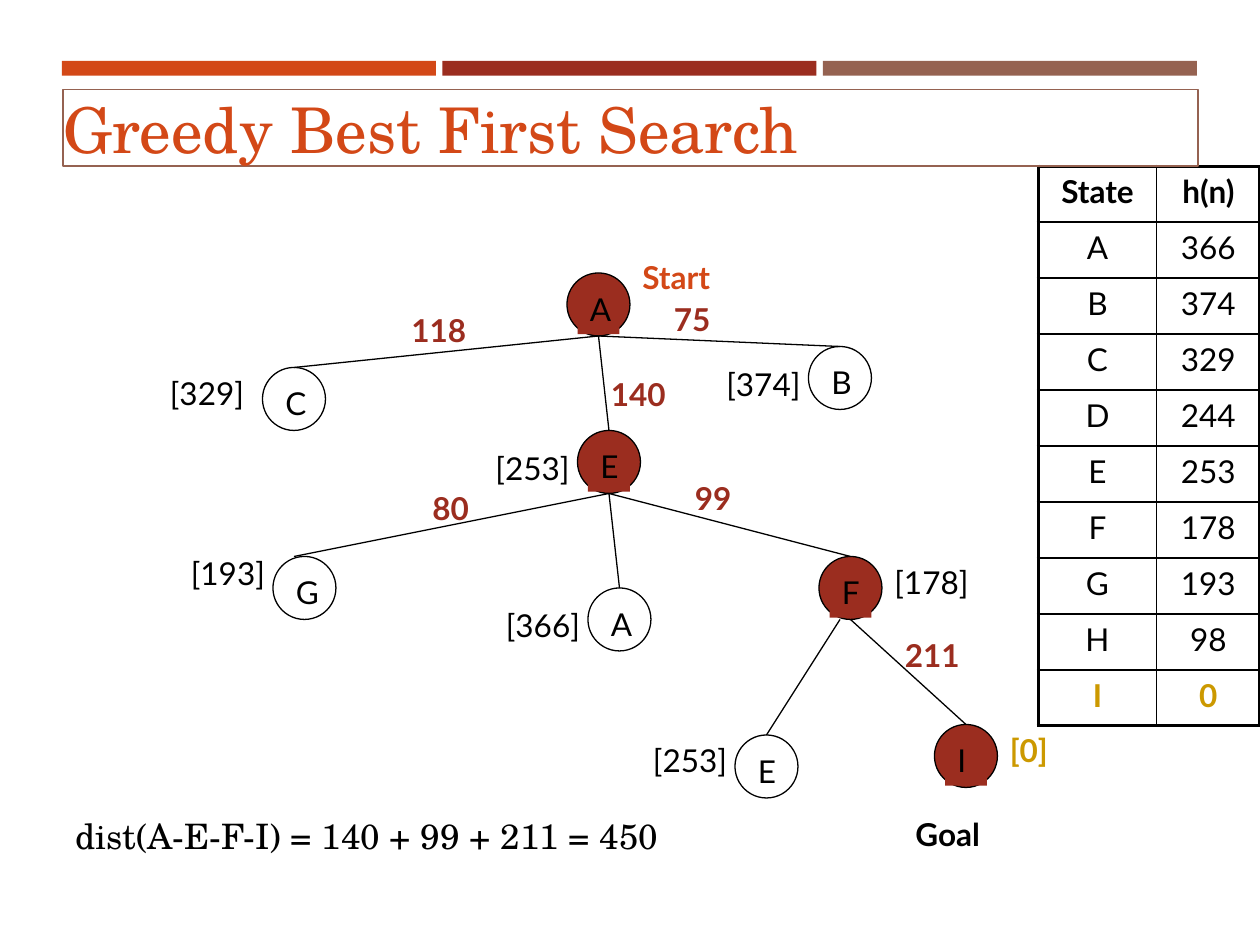
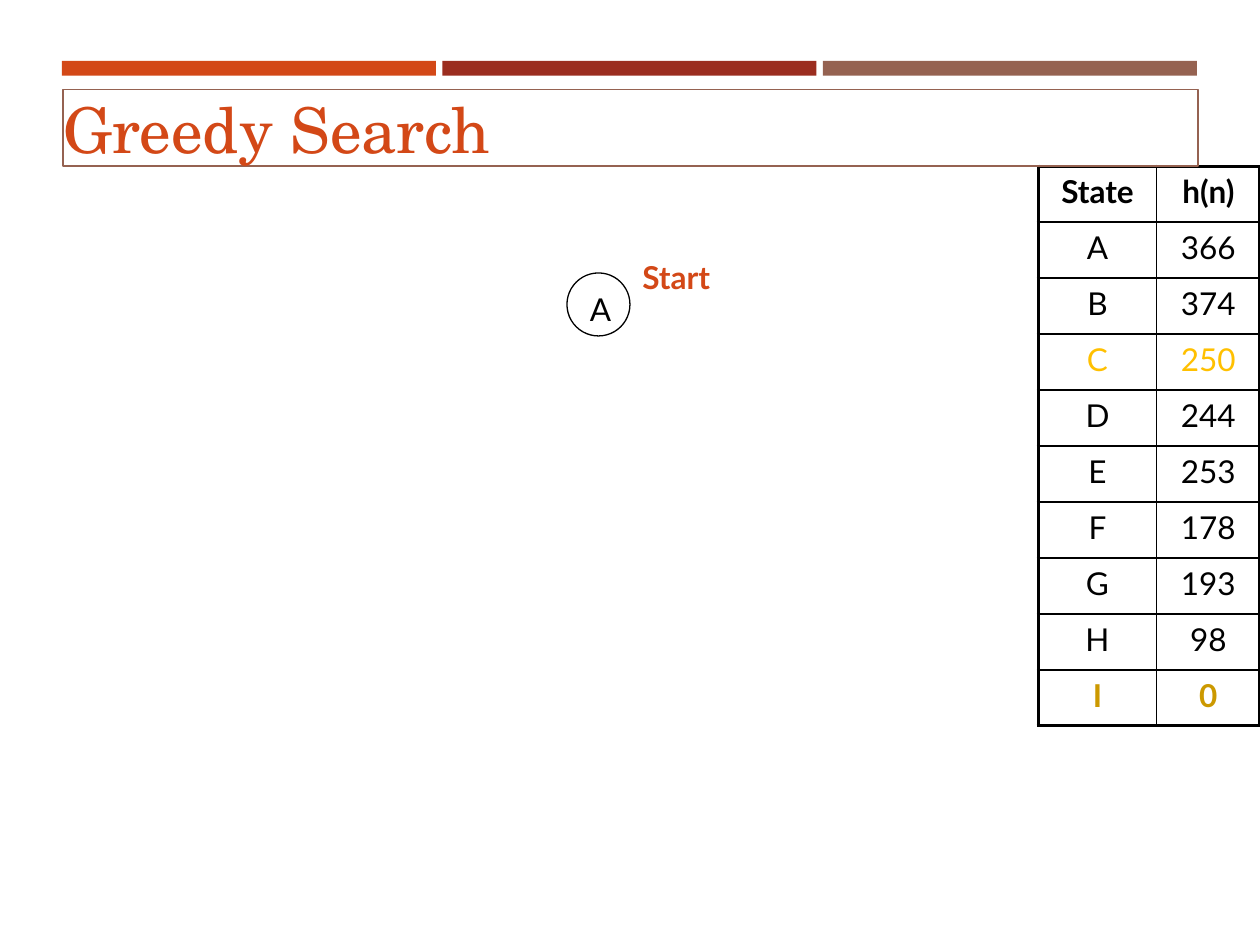
from lxml.etree import SubElement
from pptx import Presentation
from pptx.dml.color import RGBColor
from pptx.enum.shapes import MSO_CONNECTOR as Connector, MSO_SHAPE as Shape
from pptx.enum.text import MSO_ANCHOR as Anchor, MSO_AUTO_SIZE as AutoSize, PP_ALIGN as Align
from pptx.oxml.ns import qn
from pptx.util import Pt

BLACK, ORANGE, RED, BROWN = "000000", "D34817", "9B2D1F", "956251"
GOLD, AMBER = "CC9900", "FFC000"
BODY_FONT, TITLE_FONT = "Lato", "TeX Gyre Schola"
NODE_SIZE, NODE_INSET = 36, 6
LABEL_HEIGHT = 29
THIN, THICK = 1, 2.25


def color(hex_string):
    return RGBColor.from_string(hex_string)


class Deck:
    """Holds the presentation, its style and the slide being drawn."""

    def __init__(self):
        self.presentation = Presentation()
        self.presentation.slide_width = Pt(720)
        self.presentation.slide_height = Pt(540)
        self.slide = None

    def new_slide(self):
        self.slide = self.presentation.slides.add_slide(self.presentation.slide_layouts[6])
        for column, fill in enumerate((ORANGE, RED, BROWN)):
            self.band(35.4 + 217.4 * column, fill)

    def band(self, left, fill):
        band = self.slide.shapes.add_shape(
            Shape.RECTANGLE, Pt(left), Pt(34.8), Pt(213.7), Pt(8.4))
        band.shadow.inherit = False
        band.fill.solid()
        band.fill.fore_color.rgb = color(fill)
        band.line.fill.background()

    def run(self, paragraph, text, size=18, ink=BLACK, bold=False, font=BODY_FONT):
        run = paragraph.add_run()
        run.text = text
        run.font.size = Pt(size)
        run.font.name = font
        run.font.bold = bold
        run.font.color.rgb = color(ink)

    def text(self, text, left, top, width, height=LABEL_HEIGHT, shapes=None, **style):
        """Adds a wrapped text box to the slide, or to the given group's shapes."""
        box = (shapes or self.slide.shapes).add_textbox(
            Pt(left), Pt(top), Pt(width), Pt(height))
        box.text_frame.word_wrap = True
        box.text_frame.auto_size = AutoSize.SHAPE_TO_FIT_TEXT
        self.run(box.text_frame.paragraphs[0], text, **style)
        return box

    def title(self, text):
        box = self.text(text, 36, 51.2, 648.7, 43.8, size=36, ink=ORANGE, font=TITLE_FONT)
        box.line.color.rgb = color(BROWN)
        box.line.width = Pt(1)
        frame = box.text_frame
        frame.vertical_anchor = Anchor.MIDDLE
        frame.margin_left = frame.margin_top = frame.margin_right = frame.margin_bottom = 0

    def node(self, name, left, top, expanded=False):
        """Groups a circle with its letter and returns the circle."""
        shapes = self.slide.shapes.add_group_shape().shapes
        circle = shapes.add_shape(
            Shape.OVAL, Pt(left), Pt(top), Pt(NODE_SIZE), Pt(NODE_SIZE))
        circle.shadow.inherit = False
        circle.line.color.rgb = color(BLACK)
        circle.line.width = Pt(0.75)
        letter = self.text(name, left + NODE_INSET, top + NODE_INSET,
                           NODE_SIZE - 2 * NODE_INSET, shapes=shapes)
        for shape in (circle, letter):
            if expanded:
                shape.fill.solid()
                shape.fill.fore_color.rgb = color(RED)
            else:
                shape.fill.background()
        return circle

    def edge(self, parent, child, start_shift=0, end_shift=0):
        """Links the parent's bottom to the child's top, with optional sideways shifts."""
        middle = Pt(NODE_SIZE / 2)
        line = self.slide.shapes.add_connector(
            Connector.STRAIGHT,
            parent.left + middle + Pt(start_shift), parent.top + parent.height,
            child.left + middle + Pt(end_shift), child.top)
        if not end_shift:
            line.end_connect(child, 0)
        line.line.color.rgb = color(BLACK)
        line.line.width = Pt(0.75)
        SubElement(line._element.spPr, qn("a:effectLst"))

    def cell_borders(self, cell, widths):
        """Takes the widths in the order left, right, top, bottom."""
        properties = cell._tc.get_or_add_tcPr()
        for side, width in zip("LRTB", widths):
            line = SubElement(properties, qn(f"a:ln{side}"), w=str(Pt(width)))
            fill = SubElement(line, qn("a:solidFill"))
            SubElement(fill, qn("a:srgbClr"), val=BLACK)

    def heuristic_table(self, heuristics, highlights):
        rows = [("State", "h(n)"), *heuristics.items()]
        last = len(rows) - 1
        table = self.slide.shapes.add_table(
            len(rows), 2, Pt(593.3), Pt(95), Pt(126.7), Pt(32 * len(rows))).table
        table.first_row = table.horz_banding = False
        table.columns[0].width, table.columns[1].width = Pt(67.7), Pt(59)
        for row, values in enumerate(rows):
            table.rows[row].height = Pt(32)
            for column, value in enumerate(values):
                cell = table.cell(row, column)
                self.cell_borders(cell, [
                    THICK if outer else THIN
                    for outer in (column == 0, column == 1, row == 0, row == last)])
                cell.fill.background()
                paragraph = cell.text_frame.paragraphs[0]
                paragraph.alignment = Align.CENTER
                self.run(paragraph, str(value), bold=row in (0, last),
                         ink=highlights.get(values[0], BLACK))

    def start_label(self):
        self.text("Start", 360, 144, 96, ink=ORANGE, bold=True)


HEURISTICS = {"A": 366, "B": 374, "C": 329, "D": 244, "E": 253,
              "F": 178, "G": 193, "H": 98, "I": 0}
START_NODE = ("A", 324, 156)
# key: (letter, left, top, expanded)
TREE_NODES = {
    "start": (*START_NODE, True),
    "B": ("B", 462, 198, False),
    "C": ("C", 150, 210, False),
    "E": ("E", 330, 246, True),
    "F": ("F", 468, 318, True),
    "goal": ("I", 534, 414, True),
    "G": ("G", 156, 318, False),
    "A again": ("A", 336, 336, False),
    "E again": ("E", 420, 420, False),
}
# parent, child, start shift, end shift
TREE_EDGES = [
    ("start", "B", 0, 0), ("start", "E", 0, 0), ("start", "C", 0, 0),
    ("E", "F", 0, 0), ("E", "G", 0, -6), ("E", "A again", 0, 0),
    ("F", "goal", 0, 0), ("F", "E again", -6, 0),
]
STEP_COSTS = [(99, 390, 270), (211, 510, 360), (80, 240, 276),
              (75, 378, 168), (118, 228, 174), (140, 342, 211)]
NODE_ESTIMATES = [(374, 408, 205), (329, 90, 210), (253, 276, 253), (193, 102, 313),
                  (366, 282, 343), (178, 504, 318), (253, 366, 420)]


def search_tree_slide(deck):
    deck.new_slide()
    deck.heuristic_table(HEURISTICS, {"I": GOLD})
    circles = {key: deck.node(*node) for key, node in TREE_NODES.items()}
    for parent, child, start_shift, end_shift in TREE_EDGES:
        deck.edge(circles[parent], circles[child], start_shift, end_shift)
    for cost, left, top in STEP_COSTS:
        deck.text(str(cost), left, top, 60, ink=RED, bold=True)
    for estimate, left, top in NODE_ESTIMATES:
        deck.text(f"[{estimate}]", left, top, 66)
    deck.text("[0]", 570, 414, 66, ink=GOLD, bold=True)
    deck.start_label()
    deck.text("Goal", 516, 462, 96, bold=True)
    deck.text("dist(A-E-F-I) = 140 + 99 + 211 = 450", 36, 462, 432, 32,
              size=20, font=TITLE_FONT)
    deck.title("Greedy Best First Search")


def first_step_slide(deck):
    deck.new_slide()
    deck.heuristic_table({**HEURISTICS, "C": 250}, {"C": AMBER, "I": GOLD})
    deck.node(*START_NODE)
    deck.start_label()
    deck.title("Greedy Search")


def main():
    deck = Deck()
    search_tree_slide(deck)
    first_step_slide(deck)
    deck.presentation.save("out.pptx")


if __name__ == "__main__":
    main()
